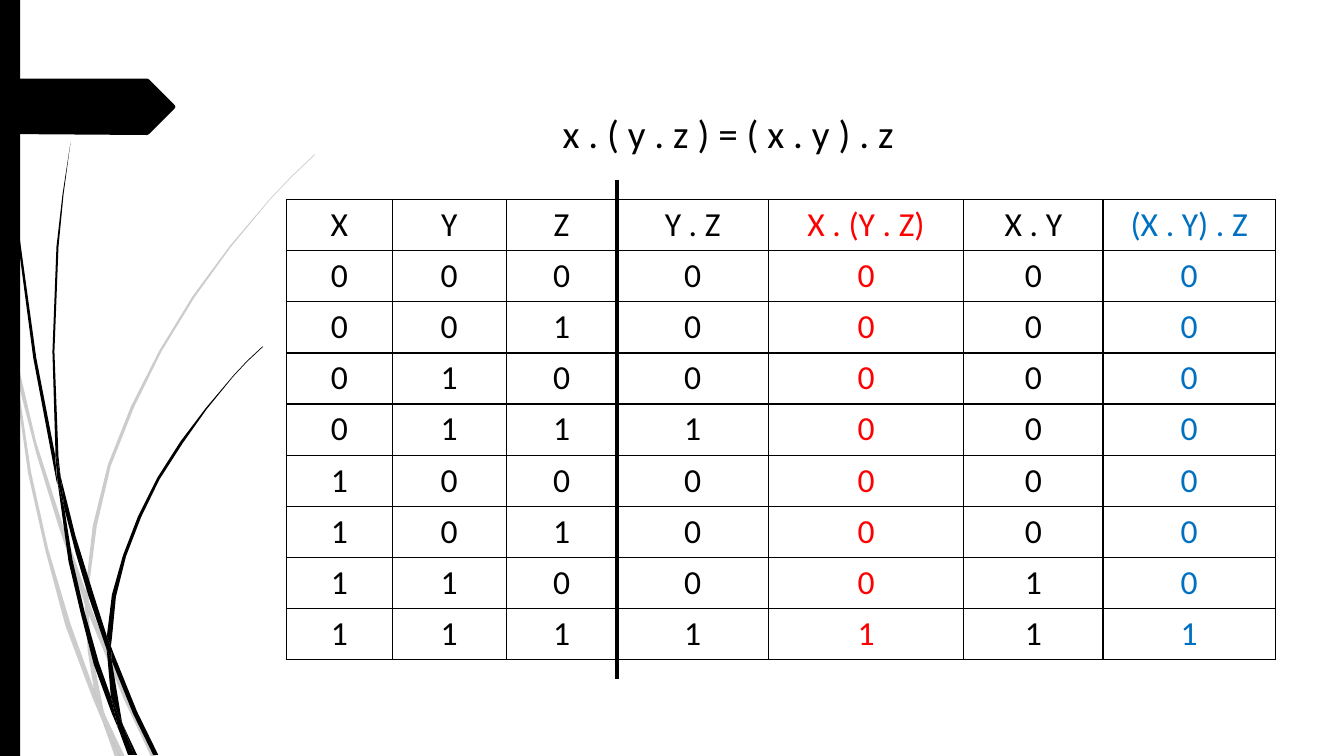
from itertools import product

from lxml import etree
from pptx import Presentation
from pptx.dml.color import RGBColor
from pptx.enum.shapes import MSO_CONNECTOR, MSO_SHAPE
from pptx.enum.text import MSO_ANCHOR, MSO_AUTO_SIZE, PP_ALIGN
from pptx.oxml.ns import qn
from pptx.util import Inches, Pt

BLACK = RGBColor(0x00, 0x00, 0x00)
RED = RGBColor(0xFF, 0x00, 0x00)
BLUE = RGBColor(0x00, 0x70, 0xC0)
LEFT, CENTER = PP_ALIGN.LEFT, PP_ALIGN.CENTER
TOP, NO_FIT = MSO_ANCHOR.TOP, MSO_AUTO_SIZE.NONE
STRAIGHT, RECTANGLE = MSO_CONNECTOR.STRAIGHT, MSO_SHAPE.RECTANGLE

# Outlines of the grass strands, as points in inches
PALE_STRANDS = [
    [(0.11, 3.5), (0.09, 3.22), (0, 2.82), (0, 2.99), (0.1, 3.44)],
    [(0.58, 5.22), (0.84, 5.99), (0.85, 5.86), (0.62, 5.2), (0.36, 4.39), (0.14, 3.45),
     (0.17, 3.76), (0.36, 4.5)],
    [(0.92, 6.07), (0.88, 5.96), (0.88, 6.1), (1.23, 6.94), (1.5, 7.51), (1.55, 7.51),
     (1.27, 6.92)],
    [(1.19, 7.51), (1.24, 7.51), (1.05, 7.11)],
    [(0.93, 6.83), (0.7, 6.19), (0.48, 5.45), (0.31, 4.69), (0.17, 3.76), (0.11, 3.5),
     (0.28, 4.7), (0.45, 5.46), (0.65, 6.21), (0.92, 6.93), (1.01, 7.14), (0.99, 7.07)],
    [(0.84, 5.99), (0.87, 6.46), (0.93, 6.83), (0.96, 6.92), (1.05, 7.11), (1.03, 7.06),
     (0.91, 6.46), (0.88, 6.1), (0.88, 6.08)],
    [(0.88, 5.84), (0.96, 5.22), (1.1, 4.62), (1.33, 4.04), (1.6, 3.49), (1.93, 2.95),
     (2.29, 2.45), (2.68, 1.98), (2.9, 1.75), (3.12, 1.54), (3.12, 1.53), (2.89, 1.75),
     (2.68, 1.97), (2.28, 2.44), (1.91, 2.94), (1.58, 3.48), (1.3, 4.03), (1.07, 4.61),
     (0.92, 5.22), (0.85, 5.84), (0.85, 5.86), (0.88, 5.96)],
    [(1.01, 7.14), (1.14, 7.51), (1.19, 7.51)],
    [(0.88, 6.08), (0.88, 6.1), (0.88, 5.96), (0.85, 5.86), (0.84, 5.99)],
    [(0.96, 6.92), (0.93, 6.83), (0.99, 7.07), (1.01, 7.14), (1.19, 7.51), (1.05, 7.11)],
]
DARK_STRANDS = [
    [(0.07, 1.1), (0.17, 2.33), (0.33, 3.55), (0.56, 4.77), (0.57, 4.81), (0.55, 4.57),
     (0.55, 4.53), (0.36, 3.55), (0.19, 2.32), (0.08, 1.09), (0.05, 0.48), (0.04, 0),
     (0.03, 0), (0.04, 0.48)],
    [(0.88, 5.92), (1.06, 6.45), (1.06, 6.31), (0.93, 5.9), (0.75, 5.32), (0.6, 4.72),
     (0.64, 5.05), (0.75, 5.48)],
    [(1.13, 6.49), (1.1, 6.41), (1.11, 6.56), (1.32, 7.08), (1.52, 7.49), (1.57, 7.49),
     (1.36, 7.06)],
    [(1.1, 6.91), (0.98, 6.57), (0.84, 6.07), (0.72, 5.56), (0.64, 5.05), (0.57, 4.77),
     (0.68, 5.57), (0.8, 6.08), (0.93, 6.59), (1.11, 7.08), (1.17, 7.22), (1.16, 7.17)],
    [(0.6, 4.72), (0.58, 4.53), (0.54, 3.49), (0.58, 2.45), (0.63, 1.93), (0.7, 1.41),
     (0.62, 1.93), (0.56, 2.45), (0.52, 3.49), (0.55, 4.49)],
    [(1.33, 7.49), (1.36, 7.49), (1.22, 7.19)],
    [(0.57, 4.77), (0.64, 5.05), (0.6, 4.72), (0.55, 4.49), (0.55, 4.53)],
    [(1.11, 6.33), (1.15, 5.92), (1.25, 5.52), (1.4, 5.13), (1.58, 4.76), (1.81, 4.4),
     (2.05, 4.06), (2.31, 3.74), (2.45, 3.59), (2.61, 3.44), (2.6, 3.44), (2.45, 3.58),
     (2.31, 3.73), (2.04, 4.05), (1.79, 4.38), (1.56, 4.74), (1.37, 5.12), (1.22, 5.51),
     (1.11, 5.9), (1.06, 6.31), (1.1, 6.41)],
    [(1.17, 7.22), (1.27, 7.49), (1.31, 7.49)],
    [(1.06, 6.45), (1.1, 6.91), (1.16, 7.06), (1.22, 7.19), (1.21, 7.16), (1.11, 6.56),
     (1.09, 6.51)],
    [(1.06, 6.45), (1.09, 6.51), (1.11, 6.56), (1.1, 6.41), (1.06, 6.31)],
    [(1.16, 7.06), (1.1, 6.91), (1.16, 7.17), (1.17, 7.22), (1.3, 7.49), (1.33, 7.49),
     (1.22, 7.19)],
]
ARROW_TAG = [(0, 0.78), (1.46, 0.78), (1.48, 0.79), (1.73, 1.04), (1.74, 1.06),
             (1.73, 1.08), (1.48, 1.33), (1.46, 1.34), (0, 1.33)]


def write(frame, text, size=24, color=BLACK, align=CENTER):
    para = frame.paragraphs[0]
    para.alignment = align
    span = para.add_run()
    span.text = text
    span.font.name = "Calibri"
    span.font.size = Pt(size)
    span.font.bold = False
    span.font.color.rgb = color


def paint_black(shape, opacity=100):
    shape.shadow.inherit = False
    shape.line.fill.background()
    shape.fill.solid()
    shape.fill.fore_color.rgb = BLACK
    if opacity < 100:
        color = shape.fill._xPr.find(".//" + qn("a:srgbClr"))
        etree.SubElement(color, qn("a:alpha"), val=str(opacity * 1000))


deck = Presentation()
deck.slide_width, deck.slide_height = Inches(13.33), Inches(7.5)
page = deck.slides.add_slide(deck.slide_layouts[5])
shapes = page.shapes

# Decoration on the left
for outlines, opacity in ((PALE_STRANDS, 20), (DARK_STRANDS, 100), ([ARROW_TAG], 100)):
    for outline in outlines:
        points = [(Inches(x), Inches(y)) for x, y in outline]
        builder = shapes.build_freeform(*points[0])
        builder.add_line_segments(points[1:], close=True)
        paint_black(builder.convert_to_shape(), opacity)
paint_black(shapes.add_shape(RECTANGLE, 0, 0, Inches(0.2), Inches(7.5)))

# Law shown by the table
title = shapes.title
title.left, title.top = Inches(4.98), Inches(1.03)
title.width, title.height = Inches(4.75), Inches(0.57)
title.text_frame.auto_size = NO_FIT
title.text_frame.word_wrap = True
title.text_frame.vertical_anchor = TOP
title.text_frame.margin_left = Inches(0.6)
write(title.text_frame, "x . ( y . z ) = ( x . y ) . z", size=28, align=LEFT)

# Truth table
headings = ["X", "Y", "Z", "Y . Z", "X . (Y . Z)", "X . Y", "(X . Y) . Z"]
column_colors = [BLACK, BLACK, BLACK, BLACK, RED, BLACK, BLUE]
column_widths = [1.05, 1.13, 1.1, 1.5, 1.94, 1.38, 1.71]
rows = [headings]
for x, y, z in product((0, 1), repeat=3):
    rows.append([x, y, z, y & z, x & (y & z), x & y, (x & y) & z])

table = shapes.add_table(len(rows), len(headings), Inches(2.84), Inches(1.98),
                         Inches(sum(column_widths)), Inches(4.5)).table
table.first_row = table.horz_banding = False
for column, width in zip(table.columns, column_widths):
    column.width = Inches(width)
for row_index, row in enumerate(rows):
    for column_index, value in enumerate(row):
        cell = table.cell(row_index, column_index)
        write(cell.text_frame, str(value), color=column_colors[column_index])
        properties = cell._tc.get_or_add_tcPr()
        for side in ("lnL", "lnR", "lnT", "lnB"):
            border = etree.SubElement(properties, qn("a:" + side), w=str(Pt(1)))
            fill = etree.SubElement(border, qn("a:solidFill"))
            etree.SubElement(fill, qn("a:srgbClr"), val=str(BLACK))
        cell.fill.background()

# Divider between inputs and results
divider = shapes.add_connector(STRAIGHT, Inches(6.12), Inches(1.79),
                               Inches(6.12), Inches(6.74))
divider.line.color.rgb = BLACK
divider.line.width = Pt(3)
etree.SubElement(divider._element.spPr, qn("a:effectLst"))

deck.save("out.pptx")
